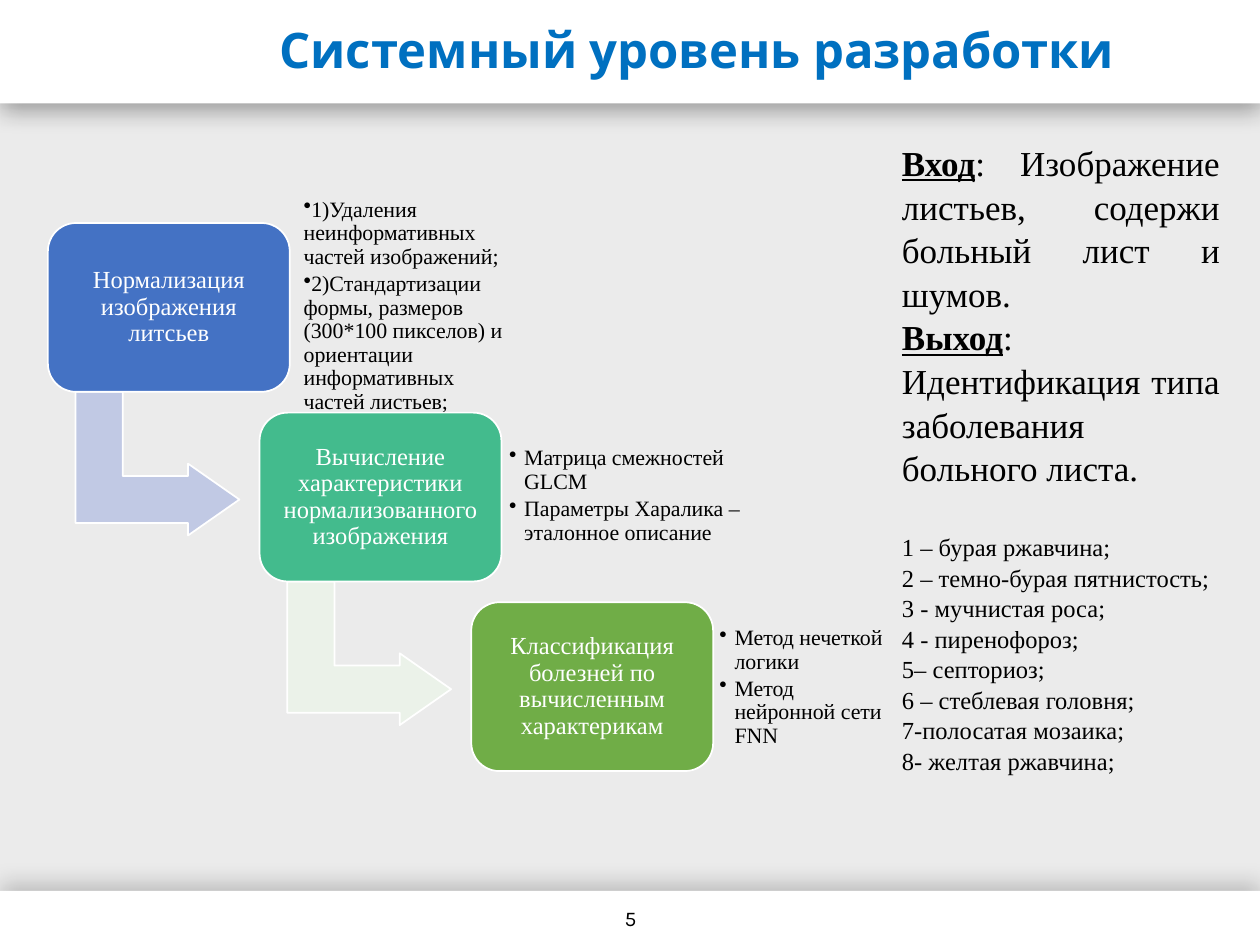
import pptx
import pptx.util
import pptx.dml.color
import pptx.enum.shapes
import pptx.enum.text
import pptx.oxml
import pptx.oxml.ns

COLORS = {
    "background": "EBEBEB", "white": "FFFFFF", "black": "000000", "title": "0070C0",
    "blue": "4472C4", "teal": "43BB8D", "green": "70AD47",
    "blue arrow": "C1C9E4", "teal arrow": "EBF2E9",
}
SERIF, SANS = "Times New Roman", "Karla"
SHAPE = pptx.enum.shapes.MSO_SHAPE
ALIGN = pptx.enum.text.PP_ALIGN
ANCHOR = pptx.enum.text.MSO_ANCHOR
NAMESPACE = pptx.oxml.ns.nsdecls("a")

presentation = pptx.Presentation()
presentation.slide_width = pptx.util.Inches(10)
presentation.slide_height = pptx.util.Inches(7.5)
slide = presentation.slides.add_slide(presentation.slide_layouts[6])
slide.background.fill.solid()
slide.background.fill.fore_color.rgb = pptx.dml.color.RGBColor.from_string(COLORS["background"])

# Grid of 100 columns by 75 rows
UNIT = presentation.slide_width / 100


def add_block(kind, area, fill=None, line=None):
    """Place a preset shape, or a text box when kind is None, on the grid."""
    area = [round(value * UNIT) for value in area]
    if kind is None:
        return slide.shapes.add_textbox(*area)
    shape = slide.shapes.add_shape(kind, *area)
    shape.shadow.inherit = False
    shape.fill.solid()
    shape.fill.fore_color.rgb = pptx.dml.color.RGBColor.from_string(COLORS[fill])
    if line:
        shape.line.color.rgb = pptx.dml.color.RGBColor.from_string(COLORS[line])
        shape.line.width = pptx.util.Pt(1)
    else:
        shape.line.fill.background()
    return shape


def write(shape, paragraphs, size=14, font=SERIF, color="black", bold=False, align=ALIGN.LEFT,
          anchor=ANCHOR.MIDDLE, inset=None, spacing=None, after=0, bullet_indent=None):
    """Append paragraphs; a (lead, rest) pair gets a bold underlined lead."""
    frame = shape.text_frame
    frame.word_wrap = True
    frame.vertical_anchor = anchor
    if inset is not None:
        frame.margin_left = frame.margin_right = pptx.util.Inches(inset)
        frame.margin_top = frame.margin_bottom = pptx.util.Inches(inset)
    for content in paragraphs:
        paragraph = frame.paragraphs[-1]
        if paragraph.runs:
            paragraph = frame.add_paragraph()
        paragraph.alignment = align
        paragraph.line_spacing = spacing
        paragraph.space_after = pptx.util.Pt(after)
        if bullet_indent is not None:
            indent = pptx.util.Inches(bullet_indent)
            properties = paragraph._p.get_or_add_pPr()
            properties.set("marL", str(indent))
            properties.set("indent", str(-indent))
            properties.append(pptx.oxml.parse_xml(f'<a:buChar {NAMESPACE} char="•"/>'))
        parts = (content,) if isinstance(content, str) else content
        for index, text in enumerate(parts):
            run = paragraph.add_run()
            run.text = text
            lead = len(parts) > 1 and index == 0
            run.font.size = pptx.util.Pt(size)
            run.font.name = font
            run.font.bold = bold or lead
            run.font.underline = lead
            run.font.color.rgb = pptx.dml.color.RGBColor.from_string(COLORS[color])


# Header and footer bars with soft shadows
for area, blur, angle, alpha in (((0, 0, 100, 8.2), 14, 90, 35), ((0, 70.7, 100, 4.3), 13, 270, 20)):
    bar = add_block(SHAPE.RECTANGLE, area, "white")
    effects = bar._element.spPr.find(pptx.oxml.ns.qn("a:effectLst"))
    effects.append(pptx.oxml.parse_xml(
        f'<a:outerShdw {NAMESPACE} blurRad="{pptx.util.Pt(blur)}" dist="{pptx.util.Pt(4)}" '
        f'dir="{angle * 60000}" algn="ctr" rotWithShape="0"><a:srgbClr val="{COLORS["black"]}">'
        f'<a:alpha val="{alpha * 1000}"/></a:srgbClr></a:outerShdw>'))

# Title
write(add_block(None, (21.2, 1, 73.8, 6.3)), ["Системный уровень разработки"],
      size=28, font=SANS, color="title", bold=True, spacing=0.9)

# Input, output and disease list
body = add_block(None, (70.6, 10.6, 27.2, 56.6))
write(body, [("Вход", ": Изображение листьев, содержи больный лист и шумов."),
             ("Выход", ": Идентификация типа заболевания больного листа.")],
      size=20, align=ALIGN.JUSTIFY, anchor=ANCHOR.TOP, spacing=1.04)
write(body, ["1 – бурая ржавчина;", "2 – темно-бурая пятнистость;", "3 - мучнистая роса;",
             "4 - пиренофороз;", "5– септориоз;", "6 – стеблевая головня;",
             "7-полосатая мозаика;", "8- желтая ржавчина;"],
      anchor=ANCHOR.TOP, spacing=1.04)
body.text_frame.paragraphs[2].space_before = pptx.util.Pt(24)

# Step-down process: each step moves right and down by a fixed amount
STEP_X, STEP_Y = 16.8, 15.05
steps = [
    ("Нормализация изображения литсьев", "blue", "blue arrow", (23.6, 16.5, 17.7, 15.6), 0,
     ["1)Удаления неинформативных частей изображений;",
      "2)Стандартизации формы, размеров (300*100 пикселов) и ориентации информативных частей листьев;"]),
    ("Вычисление характеристики нормализованного изображения", "teal", "teal arrow",
     (39.9, 33.9, 19.5, 10.9), 0.12,
     ["Матрица смежностей GLCM", "Параметры Харалика – эталонное описание"]),
    ("Классификация болезней по вычисленным характерикам", "green", None,
     (56.6, 49.1, 14, 10.9), 0.12,
     ["Метод нечеткой логики", "Метод нейронной сети FNN"]),
]
for index, (label, fill, arrow_fill, details_area, indent, details) in enumerate(steps):
    left, top = 3.8 + index * STEP_X, 17.7 + index * STEP_Y
    if arrow_fill:
        arrow = add_block(SHAPE.BENT_UP_ARROW, (left + 3, top + 12.6, 11.4, 13), arrow_fill, "white")
        arrow.rotation = 90
        for number, value in enumerate((0.328, 0.25, 0.358)):
            arrow.adjustments[number] = value
    box = add_block(SHAPE.ROUNDED_RECTANGLE, (left, top, 19.2, 13.4), fill, "white")
    write(box, [label], color="white", align=ALIGN.CENTER, inset=0.06, spacing=0.9)
    write(add_block(None, details_area), details, size=12.5, inset=0.05, spacing=0.9,
          after=2, bullet_indent=indent)

# Page number
write(add_block(None, (38.8, 70.9, 22.5, 4)), ["5"], size=12, font=SANS, align=ALIGN.CENTER)

presentation.save("out.pptx")
